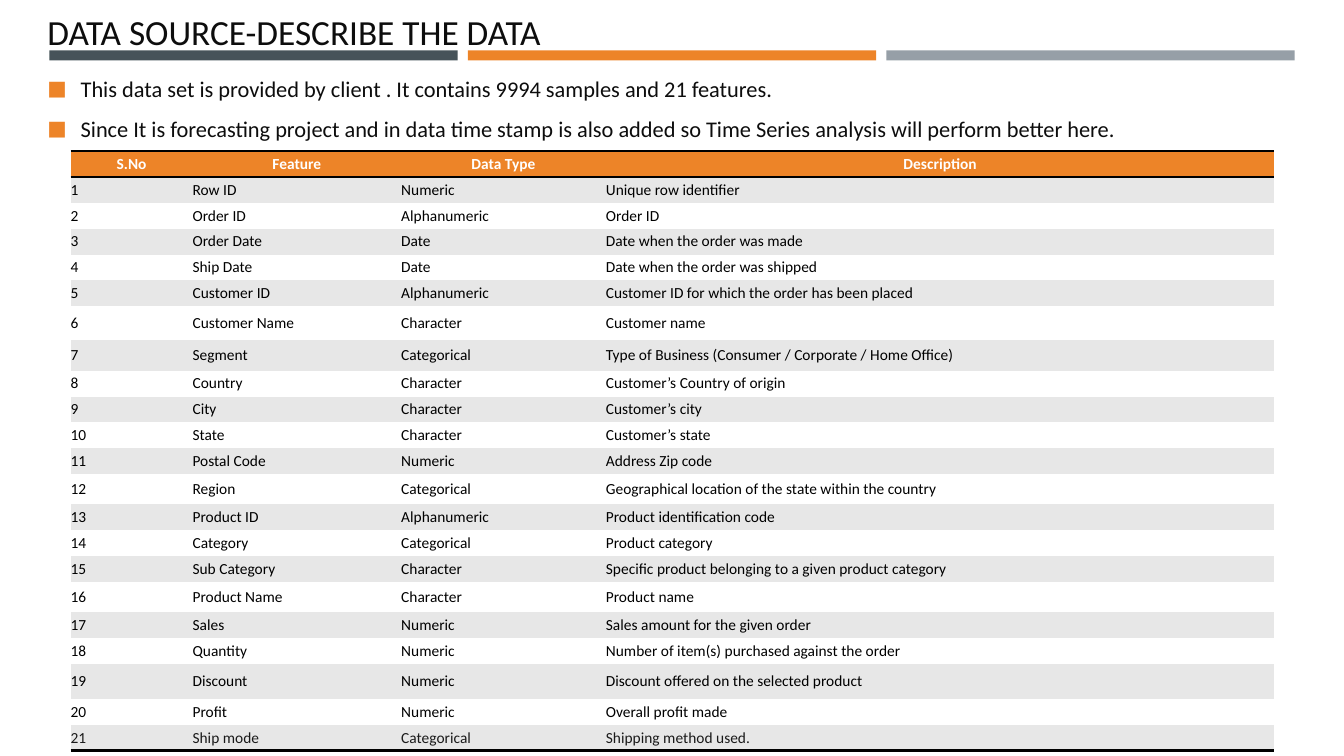
from lxml.etree import SubElement
from pptx import Presentation
from pptx.dml.color import RGBColor
from pptx.enum.shapes import MSO_SHAPE
from pptx.enum.text import MSO_ANCHOR, MSO_AUTO_SIZE, PP_ALIGN
from pptx.oxml.ns import qn
from pptx.util import Inches, Pt

COLORS = {
    "slate": "465359", "orange": "ED8428", "grey": "969FA7", "text": "0D0D0D",
    "white": "FFFFFF", "band": "E7E7E7", "black": "000000", "last": "1A1A1A",
}


def style(p, size, color, bold=False):
    for r in p.runs:
        r.font.name = "Calibri"
        r.font.size = Pt(size)
        r.font.bold = bold
        r.font.color.rgb = RGBColor.from_string(COLORS[color])


def add_border(cell, side):
    tcPr = cell._tc.get_or_add_tcPr()
    ln = SubElement(tcPr, qn(f"a:{side}"), w=str(Pt(2)))
    fill = SubElement(ln, qn("a:solidFill"))
    SubElement(fill, qn("a:srgbClr"), val=COLORS["black"])


prs = Presentation()
prs.slide_width, prs.slide_height = Inches(13.33), Inches(7.5)
s = prs.slides.add_slide(prs.slide_layouts[1])
title, body = s.shapes.title, s.placeholders[1]

# Three bars behind the title
for i, color in enumerate(["slate", "orange", "grey"]):
    bar = s.shapes.add_shape(MSO_SHAPE.RECTANGLE, Inches(0.49 + 4.15 * i), Inches(0.5),
                             Inches(4.05), Inches(0.1))
    bar.shadow.inherit = False
    bar.fill.solid()
    bar.fill.fore_color.rgb = RGBColor.from_string(COLORS[color])
    bar.line.fill.background()
    title.element.addprevious(bar.element)

# Title
title.left, title.top = Inches(0.37), Inches(0.11)
title.width, title.height = Inches(11.09), Inches(0.46)
tf = title.text_frame
tf.text = "DATA SOURCE-DESCRIBE THE DATA"
tf.auto_size = MSO_AUTO_SIZE.NONE
tf.vertical_anchor = MSO_ANCHOR.BOTTOM
tf.paragraphs[0].alignment = PP_ALIGN.LEFT
style(tf.paragraphs[0], 25.2, "text")

# Bulleted introduction
body.left, body.top = Inches(0.37), Inches(0.54)
body.width, body.height = Inches(12.96), Inches(1.07)
tf = body.text_frame
tf.text = (
    "This data set is provided by client . It contains 9994 samples and 21 features.\n"
    "Since It is forecasting project and in data time stamp is also added so "
    "Time Series analysis will perform better here."
)
tf.auto_size = MSO_AUTO_SIZE.NONE
tf.vertical_anchor = MSO_ANCHOR.MIDDLE
for p in tf.paragraphs:
    style(p, 16, "text")
    p.space_before, p.space_after = Pt(3.2), Pt(6)
    pPr = p._p.get_or_add_pPr()
    pPr.set("marL", str(Inches(0.33)))
    pPr.set("indent", str(-Inches(0.33)))
    bullet_color = SubElement(pPr, qn("a:buClr"))
    SubElement(bullet_color, qn("a:srgbClr"), val=COLORS["orange"])
    SubElement(pPr, qn("a:buSzPct"), val="92000")
    SubElement(pPr, qn("a:buFont"), typeface="Calibri")
    SubElement(pPr, qn("a:buChar"), char="■")

# Feature table
header = ("S.No", "Feature", "Data Type", "Description")
features = [
    ("Row ID", "Numeric", "Unique row identifier"),
    ("Order ID", "Alphanumeric", "Order ID"),
    ("Order Date", "Date", "Date when the order was made"),
    ("Ship Date", "Date", "Date when the order was shipped"),
    ("Customer ID", "Alphanumeric", "Customer ID for which the order has been placed"),
    ("Customer Name", "Character", "Customer name"),
    ("Segment", "Categorical", "Type of Business (Consumer / Corporate / Home Office)"),
    ("Country", "Character", "Customer’s Country of origin"),
    ("City", "Character", "Customer’s city"),
    ("State", "Character", "Customer’s state"),
    ("Postal Code", "Numeric", "Address Zip code"),
    ("Region", "Categorical", "Geographical location of the state within the country"),
    ("Product ID", "Alphanumeric", "Product identification code"),
    ("Category", "Categorical", "Product category"),
    ("Sub Category", "Character", "Specific product belonging to a given product category"),
    ("Product Name", "Character", "Product name"),
    ("Sales", "Numeric", "Sales amount for the given order"),
    ("Quantity", "Numeric", "Number of item(s) purchased against the order"),
    ("Discount", "Numeric", "Discount offered on the selected product"),
    ("Profit", "Numeric", "Overall profit made"),
    ("Ship mode", "Categorical", "Shipping method used."),
]
rows = [header] + [(str(n), *feature) for n, feature in enumerate(features, 1)]
last = len(rows) - 1
table_height = 5.95
tall_rows = {6: 0.34, 7: 0.3, 12: 0.3, 16: 0.3, 19: 0.35}
row_height = (table_height - sum(tall_rows.values())) / (len(rows) - len(tall_rows))

table = s.shapes.add_table(len(rows), len(header), Inches(0.7), Inches(1.5),
                           Inches(11.94), Inches(table_height)).table
# "No Style, No Grid" removes the default cell lines
table._tbl.tblPr.find(qn("a:tableStyleId")).text = "{2D5ABB26-0587-4C30-8999-92F81FD0307C}"
for column, width in zip(table.columns, [1.21, 2.07, 2.03, 6.63]):
    column.width = Inches(width)

for i, row in enumerate(rows):
    table.rows[i].height = Inches(tall_rows.get(i, row_height))
    if i == 0:
        fill, color, borders = "orange", "white", ["lnT", "lnB"]
    else:
        fill = "band" if i % 2 else "white"
        color = "last" if i == last else "black"
        borders = ["lnB"] if i == last else []
    for j, text in enumerate(row):
        cell = table.cell(i, j)
        cell.margin_left = cell.margin_right = cell.margin_top = cell.margin_bottom = 0
        cell.vertical_anchor = MSO_ANCHOR.MIDDLE
        for side in borders:
            add_border(cell, side)
        cell.fill.solid()
        cell.fill.fore_color.rgb = RGBColor.from_string(COLORS[fill])
        p = cell.text_frame.paragraphs[0]
        p.text = text
        p.alignment = PP_ALIGN.CENTER if i == 0 else PP_ALIGN.LEFT
        style(p, 11, color, bold=i == 0)

prs.save("out.pptx")
